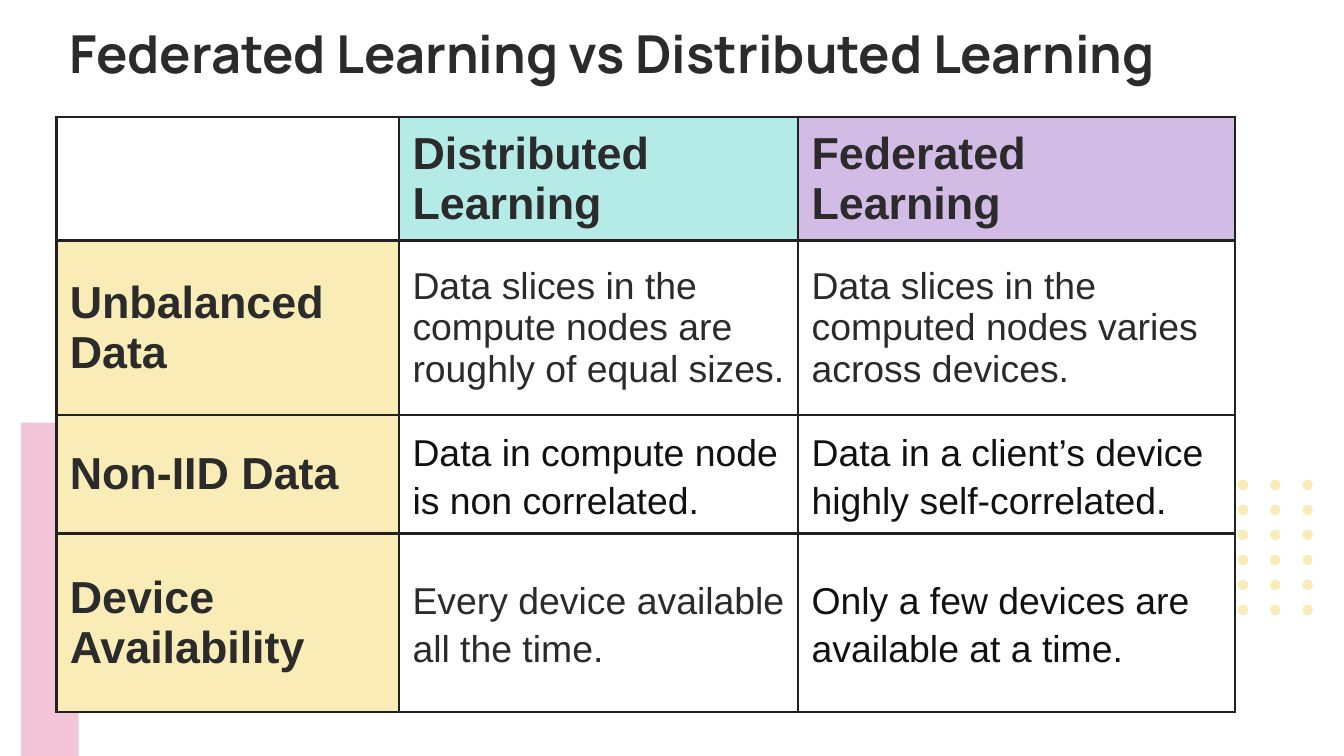
from dataclasses import dataclass
from typing import Optional

from lxml.etree import SubElement
from pptx import Presentation
from pptx.dml.color import RGBColor
from pptx.enum.shapes import MSO_SHAPE as Preset
from pptx.enum.text import MSO_ANCHOR as Anchor
from pptx.oxml.ns import qn
from pptx.util import Pt

INK = RGBColor(0x2B, 0x2B, 0x2B)
BLACK = RGBColor(0x11, 0x11, 0x11)
BORDER = RGBColor(0x21, 0x21, 0x21)
WHITE = RGBColor(0xFF, 0xFF, 0xFF)
PINK = RGBColor(0xF3, 0xC5, 0xD8)
YELLOW = RGBColor(0xFA, 0xEC, 0xB6)
TEAL = RGBColor(0xB5, 0xEB, 0xE7)
PURPLE = RGBColor(0xD2, 0xBC, 0xE6)

COLUMN_WIDTHS = (183.6, 213.8, 234)
ROW_HEIGHTS = (66.2, 93.6, 63.4, 95.8)


@dataclass(frozen=True)
class CellSpec:
    text: str = ""
    fill: Optional[RGBColor] = None
    size: float = 20
    bold: bool = False
    color: RGBColor = INK
    line_spacing: float = 1.0


def heading(text: str, fill: RGBColor) -> CellSpec:
    return CellSpec(text, fill, size=24, bold=True)


def loose(text: str, color: RGBColor = BLACK) -> CellSpec:
    return CellSpec(text, color=color, line_spacing=1.15)


COMPARISON = (
    (CellSpec(fill=WHITE),
     heading("Distributed Learning", TEAL),
     heading("Federated Learning", PURPLE)),
    (heading("Unbalanced Data", YELLOW),
     CellSpec("Data slices in the compute nodes are roughly of equal sizes."),
     CellSpec("Data slices in the computed nodes varies across devices.")),
    (heading("Non-IID Data", YELLOW),
     loose("Data in compute node is non correlated."),
     loose("Data in a client’s device highly self-correlated.")),
    (heading("Device Availability", YELLOW),
     loose("Every device available all the time.", INK),
     loose("Only a few devices are available at a time.")),
)


def add_plain_shape(slide, preset: Preset, left: float, top: float,
                    width: float, height: float, color: RGBColor) -> None:
    shape = slide.shapes.add_shape(preset, Pt(left), Pt(top), Pt(width), Pt(height))
    shape.shadow.inherit = False
    shape.fill.solid()
    shape.fill.fore_color.rgb = color
    shape.line.fill.background()


def style_paragraph(paragraph, name: str, size: float, bold: bool,
                    color: RGBColor) -> None:
    paragraph.font.name = name
    paragraph.font.size = Pt(size)
    paragraph.font.bold = bold
    paragraph.font.color.rgb = color


def add_title(slide, text: str) -> None:
    box = slide.shapes.add_textbox(Pt(30.2), Pt(4.3), Pt(668.9), Pt(58.3))
    frame = box.text_frame
    frame.word_wrap = True
    frame.margin_left = frame.margin_right = Pt(7.2)
    frame.margin_top = frame.margin_bottom = Pt(7.2)
    frame.text = text
    style_paragraph(frame.paragraphs[0], "Manrope", 28, True, INK)


def add_borders(cell) -> None:
    properties = cell._tc.get_or_add_tcPr()
    for side in ("a:lnL", "a:lnR", "a:lnT", "a:lnB"):
        line = SubElement(properties, qn(side), w=str(Pt(1.5)))
        fill = SubElement(line, qn("a:solidFill"))
        SubElement(fill, qn("a:srgbClr"), val=str(BORDER))


def fill_cell(cell, spec: CellSpec) -> None:
    add_borders(cell)
    if spec.fill is None:
        cell.fill.background()
    else:
        cell.fill.solid()
        cell.fill.fore_color.rgb = spec.fill
    cell.vertical_anchor = Anchor.MIDDLE
    cell.margin_left = cell.margin_right = Pt(7.2)
    cell.margin_top = cell.margin_bottom = Pt(0)
    cell.text = spec.text
    paragraph = cell.text_frame.paragraphs[0]
    paragraph.line_spacing = spec.line_spacing
    style_paragraph(paragraph, "Arial", spec.size, spec.bold, spec.color)


def add_comparison_table(slide) -> None:
    table = slide.shapes.add_table(
        len(ROW_HEIGHTS), len(COLUMN_WIDTHS), Pt(30.2), Pt(62.6),
        Pt(sum(COLUMN_WIDTHS)), Pt(sum(ROW_HEIGHTS))).table
    table.first_row = table.horz_banding = False
    for column, width in zip(table.columns, COLUMN_WIDTHS):
        column.width = Pt(width)
    for row, height, specs in zip(table.rows, ROW_HEIGHTS, COMPARISON):
        row.height = Pt(height)
        for cell, spec in zip(row.cells, specs):
            fill_cell(cell, spec)


def main() -> None:
    presentation = Presentation()
    presentation.slide_width = Pt(720)
    presentation.slide_height = Pt(405)
    slide = presentation.slides.add_slide(presentation.slide_layouts[6])

    # Pink bar behind the table
    add_plain_shape(slide, Preset.RECTANGLE, 11.2, 226.5, 31, 180, PINK)

    add_title(slide, "Federated Learning vs Distributed Learning")

    # Dot grid at the right edge
    for column in range(3):
        for row in range(6):
            add_plain_shape(slide, Preset.OVAL, 663.1 + 17.3 * column,
                            257 + 13.4 * row, 5.6, 5.6, YELLOW)

    add_comparison_table(slide)
    presentation.save("out.pptx")


if __name__ == "__main__":
    main()
